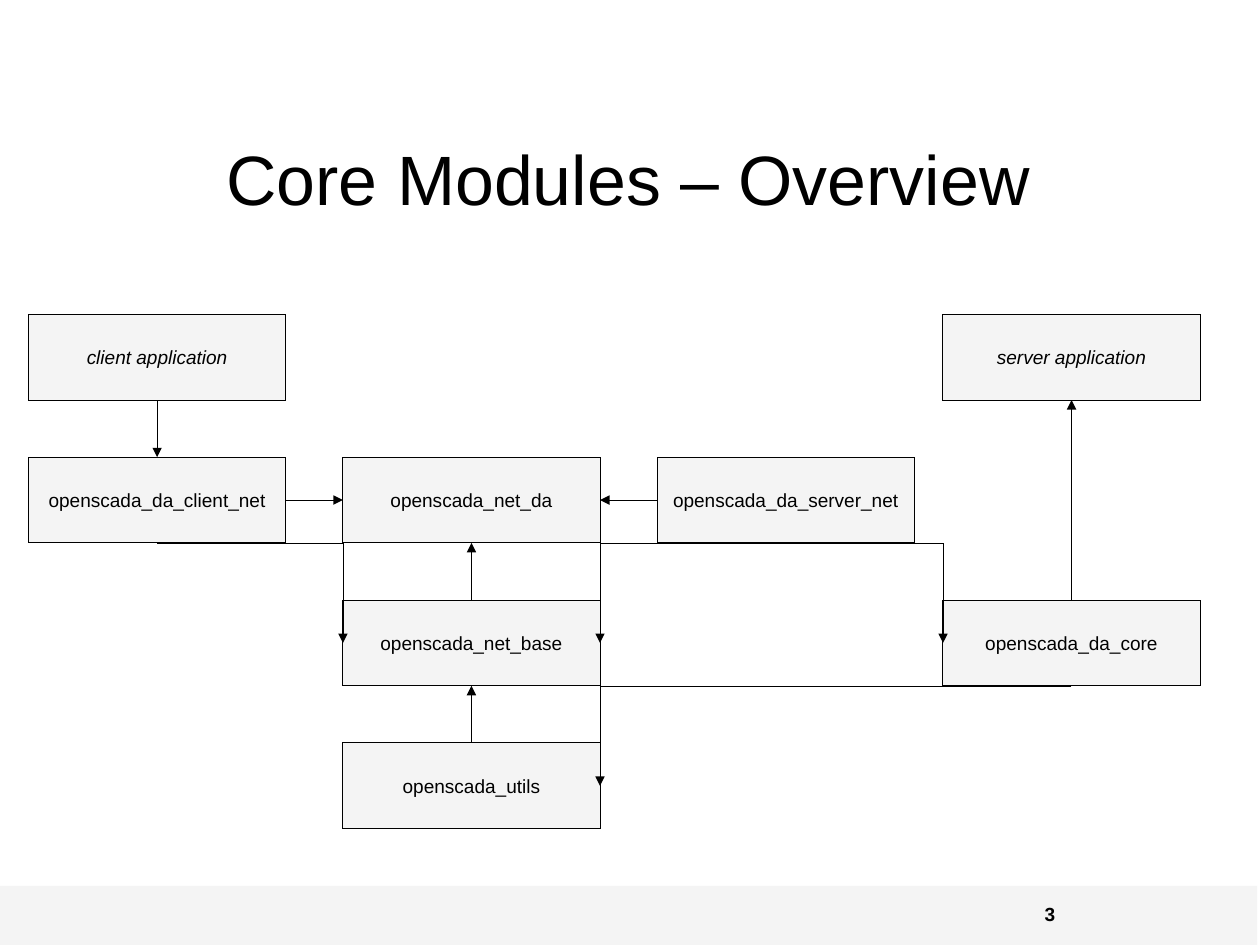
from dataclasses import dataclass

from lxml.etree import SubElement
from pptx import Presentation
from pptx.dml.color import RGBColor
from pptx.enum.shapes import MSO_CONNECTOR, MSO_SHAPE
from pptx.enum.text import MSO_ANCHOR, PP_ALIGN
from pptx.oxml.ns import qn
from pptx.shapes.autoshape import Shape
from pptx.shapes.connector import Connector
from pptx.slide import Slide
from pptx.text.text import TextFrame
from pptx.util import Inches, Pt

COLORS = {"ink": "000000", "panel": "F4F4F4"}
CM_PER_INCH = 2.54
SLIDE_WIDTH, SLIDE_HEIGHT = 28 / CM_PER_INCH, 21 / CM_PER_INCH
COLUMNS = (0.25, 3, 5.75, 8.25)
FIRST_ROW, ROW_STEP = 2.75, 1.25
MODULE_WIDTH, MODULE_HEIGHT = 2.25, 0.75
TOP, LEFT, BOTTOM, RIGHT = range(4)


@dataclass(frozen=True)
class Module:
    name: str
    column: int
    row: int
    italic: bool = False

    def side(self, side: int) -> tuple[float, float]:
        across, down = ((0.5, 0), (0, 0.5), (0.5, 1), (1, 0.5))[side]
        return (COLUMNS[self.column] + across * MODULE_WIDTH,
                FIRST_ROW + self.row * ROW_STEP + down * MODULE_HEIGHT)


@dataclass(frozen=True)
class Arrow:
    source: str
    source_side: int
    target: str
    target_side: int
    bent: bool = False


MODULES = (
    Module("client application", 0, 0, True),
    Module("server application", 3, 0, True),
    Module("openscada_da_client_net", 0, 1),
    Module("openscada_net_da", 1, 1),
    Module("openscada_da_server_net", 2, 1),
    Module("openscada_net_base", 1, 2),
    Module("openscada_da_core", 3, 2),
    Module("openscada_utils", 1, 3),
)
ARROWS = (
    Arrow("client application", BOTTOM, "openscada_da_client_net", TOP),
    Arrow("openscada_da_client_net", RIGHT, "openscada_net_da", LEFT),
    Arrow("openscada_da_server_net", LEFT, "openscada_net_da", RIGHT),
    Arrow("openscada_net_base", TOP, "openscada_net_da", BOTTOM),
    Arrow("openscada_utils", TOP, "openscada_net_base", BOTTOM),
    Arrow("openscada_da_core", TOP, "server application", BOTTOM),
    Arrow("openscada_da_client_net", BOTTOM, "openscada_net_base", LEFT, True),
    Arrow("openscada_da_server_net", BOTTOM, "openscada_net_base", RIGHT, True),
    Arrow("openscada_da_server_net", BOTTOM, "openscada_da_core", LEFT, True),
    Arrow("openscada_da_core", BOTTOM, "openscada_utils", RIGHT, True),
)


def color(key: str) -> RGBColor:
    return RGBColor.from_string(COLORS[key])


def draw_hairline(outlined: Shape | Connector) -> None:
    outlined.line.color.rgb = color("ink")
    outlined.line.width = Pt(0)
    outlined.element.remove(outlined.element.find(qn("p:style")))


def write(frame: TextFrame, text: str, size: float,
          bold: bool = False, italic: bool = False) -> None:
    frame.word_wrap = True
    frame.vertical_anchor = MSO_ANCHOR.MIDDLE
    paragraph = frame.paragraphs[0]
    paragraph.alignment = PP_ALIGN.CENTER
    run = paragraph.add_run()
    run.text = text
    run.font.name = "Arial"
    run.font.size = Pt(size)
    run.font.bold = bold
    run.font.italic = italic
    run.font.color.rgb = color("ink")


def add_label(slide: Slide, text: str, box: tuple[float, ...], size: float,
              bold: bool = False) -> None:
    frame = slide.shapes.add_textbox(*map(Inches, box)).text_frame
    frame.margin_left = frame.margin_right = 0
    frame.margin_top = frame.margin_bottom = 0
    write(frame, text, size, bold)


def add_panel(slide: Slide, box: tuple[float, ...]) -> Shape:
    panel = slide.shapes.add_shape(MSO_SHAPE.RECTANGLE, *map(Inches, box))
    panel.shadow.inherit = False
    panel.fill.solid()
    panel.fill.fore_color.rgb = color("panel")
    panel.line.fill.background()
    return panel


def add_module(slide: Slide, module: Module) -> Shape:
    left, top = module.side(LEFT)[0], module.side(TOP)[1]
    panel = add_panel(slide, (left, top, MODULE_WIDTH, MODULE_HEIGHT))
    draw_hairline(panel)
    write(panel.text_frame, module.name, 12, italic=module.italic)
    return panel


def add_arrow(slide: Slide, arrow: Arrow, modules: dict[str, Module],
              panels: dict[str, Shape]) -> None:
    start = modules[arrow.source].side(arrow.source_side)
    end = modules[arrow.target].side(arrow.target_side)
    kind = MSO_CONNECTOR.ELBOW if arrow.bent else MSO_CONNECTOR.STRAIGHT
    connector = slide.shapes.add_connector(kind, *map(Inches, start + end))
    draw_hairline(connector)
    properties = connector.element.spPr
    SubElement(properties.find(qn("a:ln")), qn("a:tailEnd"), type="triangle")
    SubElement(properties, qn("a:effectLst"))
    if arrow.bent:
        properties.find(qn("a:prstGeom")).set("prst", "bentConnector2")
    else:
        connector.begin_connect(panels[arrow.source], arrow.source_side)
        connector.end_connect(panels[arrow.target], arrow.target_side)


def main() -> None:
    """Build the overview slide of the core modules."""
    deck = Presentation()
    deck.slide_width = Inches(SLIDE_WIDTH)
    deck.slide_height = Inches(SLIDE_HEIGHT)
    slide = deck.slides.add_slide(deck.slide_layouts[6])
    add_panel(slide, (0, 7.75, 11, 0.52))
    add_label(slide, "Core Modules – Overview", (0.25, 1.05, 10.5, 1), 44)
    modules = {module.name: module for module in MODULES}
    panels = {module.name: add_module(slide, module) for module in MODULES}
    for arrow in ARROWS:
        add_arrow(slide, arrow, modules, panels)
    add_label(slide, "3", (7.9, 7.87, 2.57, 0.25), 12, bold=True)
    deck.save("out.pptx")


if __name__ == "__main__":
    main()
